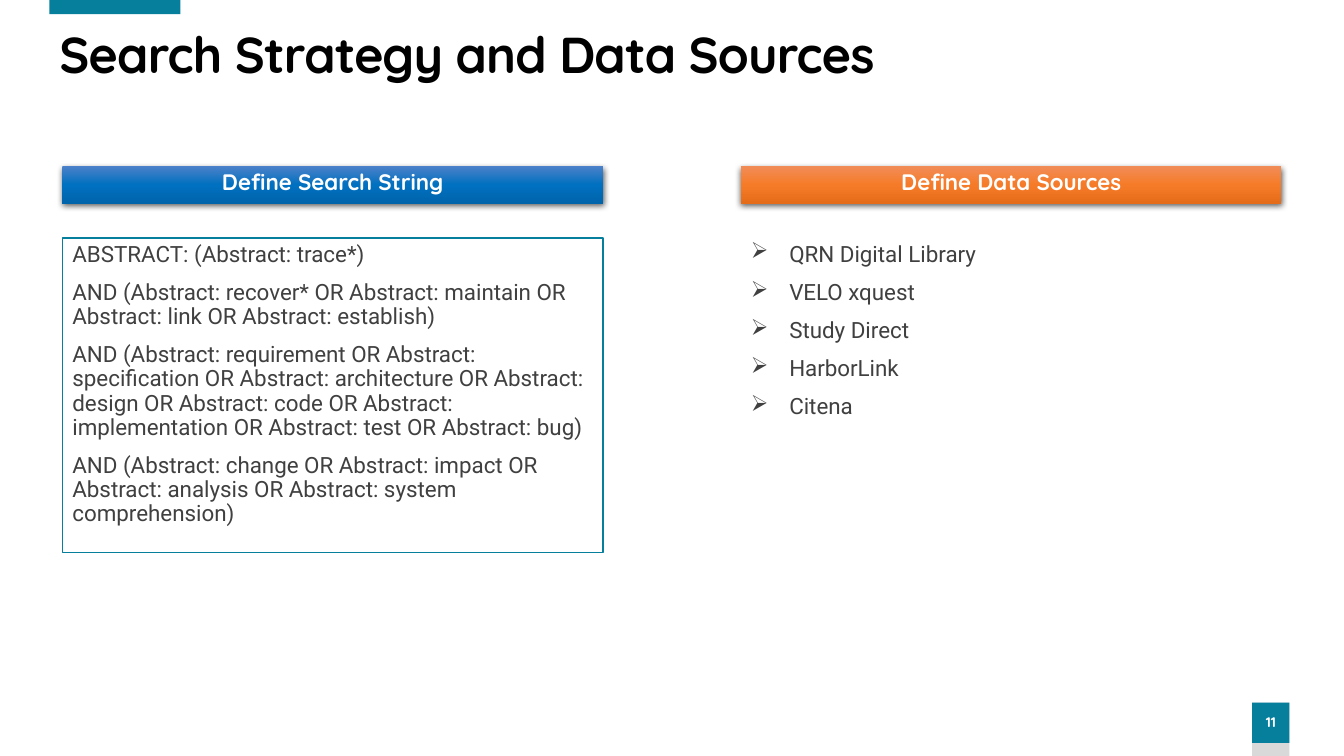
from lxml.etree import SubElement
from pptx import Presentation
from pptx.dml.color import RGBColor
from pptx.enum.shapes import MSO_SHAPE
from pptx.enum.text import MSO_ANCHOR, PP_ALIGN
from pptx.oxml import parse_xml
from pptx.oxml.ns import nsdecls, qn
from pptx.util import Inches, Pt

TITLE = "Search Strategy and Data Sources"
PAGE_NUMBER = "11"
SEARCH_STRING = [
    "ABSTRACT: (Abstract: trace*)",
    "AND (Abstract: recover* OR Abstract: maintain OR Abstract: link OR Abstract: establish)",
    "AND (Abstract: requirement OR Abstract: specification OR Abstract: architecture "
    "OR Abstract: design OR Abstract: code OR Abstract: implementation OR Abstract: test "
    "OR Abstract: bug)",
    "AND (Abstract: change OR Abstract: impact OR Abstract: analysis OR Abstract: system "
    "comprehension)",
]
DATA_SOURCES = ["QRN Digital Library", "VELO xquest", "Study Direct", "HarborLink", "Citena"]
COLUMNS = [
    {"heading": "Define Search String", "gradient": ["4B81C8", "0070C0", "0064AB"],
     "lines": SEARCH_STRING, "boxed": True},
    {"heading": "Define Data Sources", "gradient": ["F18C57", "F67B28", "E56C19"],
     "lines": DATA_SOURCES, "boxed": False},
]

TEAL, GREY, WHITE, BLACK, BODY = "067F9C", "D9D9D9", "FFFFFF", "000000", "404040"
HEADING_FONT, BODY_FONT = "Quicksand", "Roboto"
COLUMN_LEFT, COLUMN_STEP, COLUMN_WIDTH = 0.62, 6.73, 5.36
HEADING_TOP, HEADING_HEIGHT = 1.65, 0.37
BODY_TOP, BODY_HEIGHT = 2.36, 3.12
BULLET_INDENT = 0.38


def rgb(color):
    return RGBColor.from_string(color)


def add_rect(left, top, width, height, fill=None, line=None):
    rect = slide.shapes.add_shape(
        MSO_SHAPE.RECTANGLE, Inches(left), Inches(top), Inches(width), Inches(height))
    rect.shadow.inherit = False
    if fill:
        rect.fill.solid()
        rect.fill.fore_color.rgb = rgb(fill)
    if line:
        rect.line.color.rgb = rgb(line)
        rect.line.width = Pt(1)
    else:
        rect.line.fill.background()
    return rect


def add_text(box, lines, font, size, color, bold=False, align=PP_ALIGN.LEFT,
             anchor=MSO_ANCHOR.TOP, space_before=10):
    frame = box.text_frame
    frame.word_wrap = True
    frame.vertical_anchor = anchor
    frame.text = "\n".join(lines)
    for paragraph in frame.paragraphs:
        paragraph.alignment = align
        paragraph.line_spacing = 0.9
        paragraph.space_before = Pt(space_before)
        paragraph.font.name = font
        paragraph.font.size = Pt(size)
        paragraph.font.bold = bold
        paragraph.font.color.rgb = rgb(color)
    return frame


def add_gradient(rect, colors):
    """Fill from top to bottom with evenly spaced colour stops."""
    step = 100000 // (len(colors) - 1)
    stops = "".join(f'<a:gs pos="{i * step}"><a:srgbClr val="{color}"/></a:gs>'
                    for i, color in enumerate(colors))
    geometry = rect._element.spPr.find(qn("a:prstGeom"))
    geometry.addnext(parse_xml(
        f'<a:gradFill {nsdecls("a")} rotWithShape="1"><a:gsLst>{stops}</a:gsLst>'
        '<a:lin ang="5400000" scaled="0"/></a:gradFill>'))


def add_drop_shadow(rect):
    effects = rect._element.spPr.find(qn("a:effectLst"))
    shadow = SubElement(effects, qn("a:outerShdw"), blurRad=str(Pt(4.5)), dist=str(Pt(1.5)),
                        dir="5400000", algn="ctr", rotWithShape="0")
    color = SubElement(shadow, qn("a:srgbClr"), val=BLACK)
    SubElement(color, qn("a:alpha"), val="63000")


def add_bullets(frame):
    for paragraph in frame.paragraphs:
        properties = paragraph._p.get_or_add_pPr()
        properties.set("marL", str(Inches(BULLET_INDENT)))
        properties.set("indent", str(-Inches(BULLET_INDENT)))
        bullet = parse_xml(f'<a:buChar {nsdecls("a")} char="➢"/>')
        properties.find(qn("a:defRPr")).addprevious(bullet)


def add_column(left, column):
    heading = add_rect(left, HEADING_TOP, COLUMN_WIDTH, HEADING_HEIGHT)
    add_gradient(heading, column["gradient"])
    add_drop_shadow(heading)
    add_text(heading, [column["heading"]], HEADING_FONT, 16, WHITE, True, PP_ALIGN.CENTER)

    area = (left, BODY_TOP, COLUMN_WIDTH, BODY_HEIGHT)
    if column["boxed"]:
        body = add_rect(*area, WHITE, TEAL)
    else:
        body = slide.shapes.add_textbox(*map(Inches, area))
    frame = add_text(body, column["lines"], BODY_FONT, 16, BODY)
    if not column["boxed"]:
        add_bullets(frame)


presentation = Presentation()
presentation.slide_width, presentation.slide_height = Inches(13.33), Inches(7.5)
slide = presentation.slides.add_slide(presentation.slide_layouts[6])

add_rect(12.42, 6.97, 0.37, 0.53, GREY)
page_badge = add_rect(12.42, 6.97, 0.37, 0.4, TEAL)
badge_frame = add_text(page_badge, [PAGE_NUMBER], HEADING_FONT, 10, WHITE, True,
                       PP_ALIGN.CENTER, MSO_ANCHOR.MIDDLE)
badge_frame.margin_left = badge_frame.margin_right = 0
add_rect(0.49, 0, 1.3, 0.14, TEAL)

for index, column in enumerate(COLUMNS):
    add_column(COLUMN_LEFT + index * COLUMN_STEP, column)

title = slide.shapes.add_textbox(Inches(0.49), Inches(0.27), Inches(12.22), Inches(1.19))
title_frame = add_text(title, [TITLE], HEADING_FONT, 36, BLACK, True, space_before=0)
title_frame.margin_top = Inches(0.03)
title_frame.paragraphs[0].runs[0].font._element.set("spc", "-60")

presentation.save("out.pptx")
